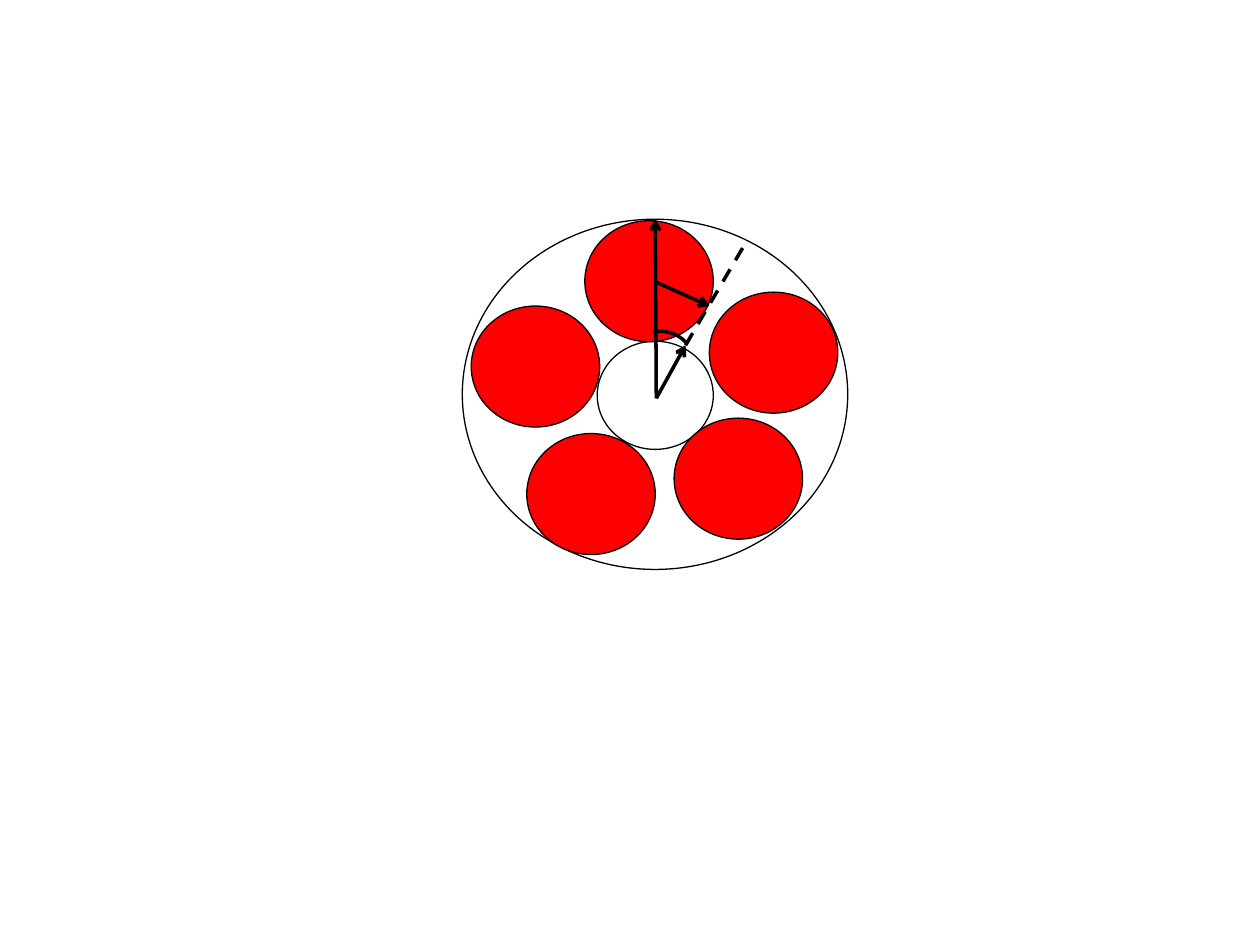
"""Build a slide showing five red circles packed between two rings, with radius arrows."""
import lxml.etree
import pptx
import pptx.dml.color
import pptx.enum.dml
import pptx.enum.shapes
import pptx.oxml.ns
import pptx.util
from pptx.util import Cm

COLORS = {"outline": "000000", "core": "FFFFFF", "strand": "FF0000"}
THIN, THICK = 0.75, 2

OUTER_RING = (9.32, 4.42, 7.77, 7.06)
CORE = (12.04, 6.88, 2.34, 2.18)
STRAND_SIZE = (2.59, 2.44)
STRAND_CORNERS = [(11.79, 4.45), (14.3, 5.89), (13.59, 8.43), (10.62, 8.74), (9.5, 6.17)]

CENTER = (13.23, 8.03)
CORE_EDGE = (13.82, 6.96)
TANGENT = (CORE_EDGE, (15.04, 4.88))
ARROWS = [
    ((13.23, 5.69), (14.3, 6.17)),
    (CENTER, CORE_EDGE),
    (CENTER, (13.21, 4.42)),
]
ANGLE_ARC = (12.62, 6.68, 1.4, 1.4)
ARC_ROTATION = 300.5
ARC_ADJUSTMENTS = (190.07, 10.18)


def style_line(line, width):
    line.color.rgb = pptx.dml.color.RGBColor.from_string(COLORS["outline"])
    line.width = pptx.util.Pt(width)


def add_outline(slide, kind, box, width, fill=None):
    shape = slide.shapes.add_shape(kind, *map(Cm, box))
    shape.shadow.inherit = False
    if fill:
        shape.fill.solid()
        shape.fill.fore_color.rgb = pptx.dml.color.RGBColor.from_string(COLORS[fill])
    else:
        shape.fill.background()
    style_line(shape.line, width)
    return shape


def add_line(slide, start, end):
    connector = slide.shapes.add_connector(
        pptx.enum.shapes.MSO_CONNECTOR.STRAIGHT, *map(Cm, start + end))
    style_line(connector.line, THICK)
    properties = connector._element.spPr
    lxml.etree.SubElement(properties, pptx.oxml.ns.qn("a:effectLst"))
    return connector


def add_arrow(slide, start, end):
    connector = add_line(slide, start, end)
    outline = connector._element.spPr.find(pptx.oxml.ns.qn("a:ln"))
    lxml.etree.SubElement(outline, pptx.oxml.ns.qn("a:tailEnd"), type="arrow")


def main():
    presentation = pptx.Presentation()
    presentation.slide_width, presentation.slide_height = Cm(25.4), Cm(19.05)
    slide = presentation.slides.add_slide(presentation.slide_layouts[6])
    shapes = pptx.enum.shapes.MSO_SHAPE

    add_outline(slide, shapes.OVAL, OUTER_RING, THIN)
    add_outline(slide, shapes.OVAL, CORE, THIN, "core")
    for corner in STRAND_CORNERS:
        add_outline(slide, shapes.OVAL, corner + STRAND_SIZE, THIN, "strand")

    tangent = add_line(slide, *TANGENT)
    tangent.line.dash_style = pptx.enum.dml.MSO_LINE.DASH

    arc = add_outline(slide, shapes.ARC, ANGLE_ARC, THICK)
    arc.rotation = ARC_ROTATION
    for index, value in enumerate(ARC_ADJUSTMENTS):
        arc.adjustments[index] = value

    for start, end in ARROWS:
        add_arrow(slide, start, end)

    presentation.save("out.pptx")


if __name__ == "__main__":
    main()
